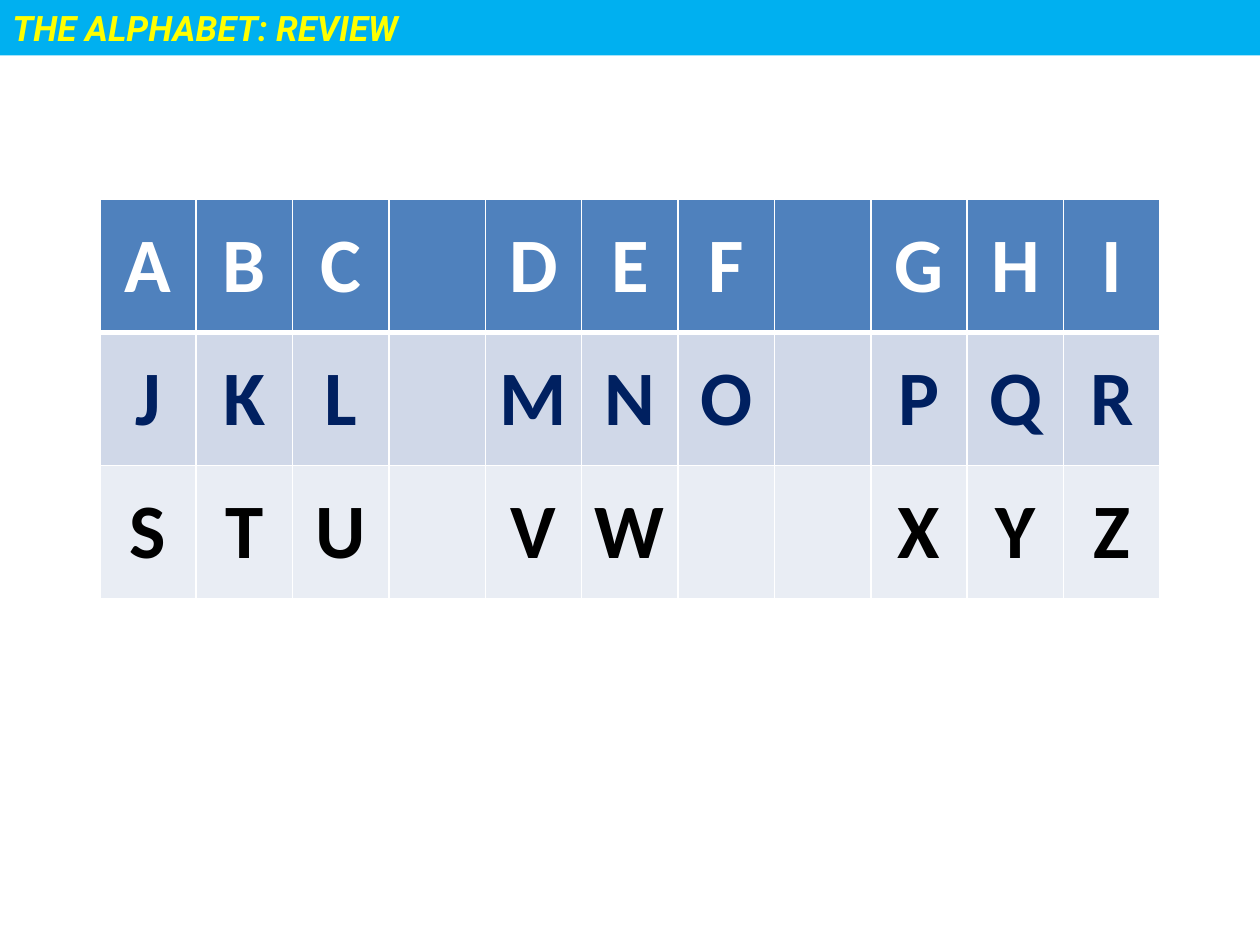
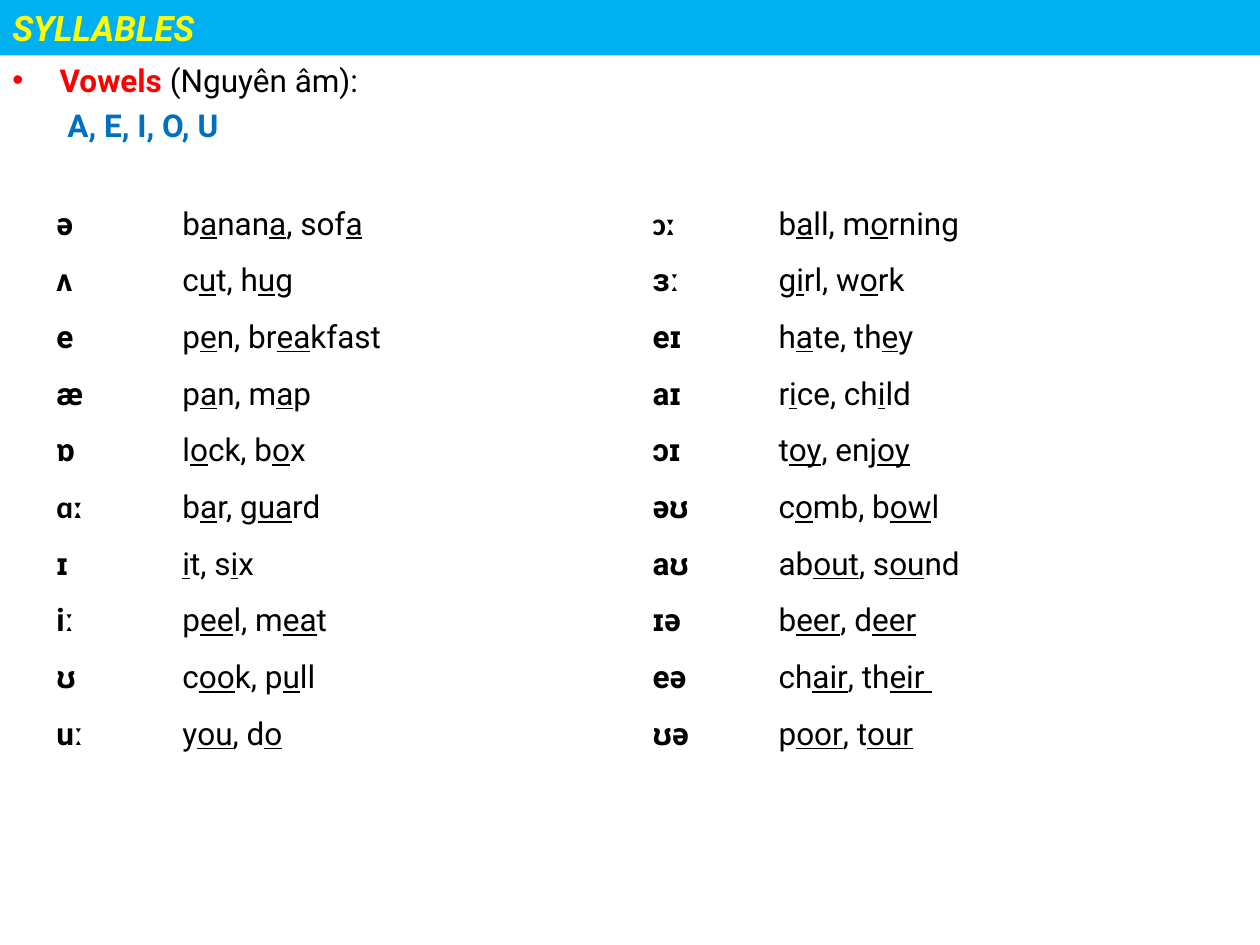
"""Build two English lesson slides: the alphabet and the vowel sounds."""
from lxml.etree import SubElement
from pptx import Presentation
from pptx.dml.color import RGBColor
from pptx.enum.shapes import MSO_SHAPE as SHAPE
from pptx.enum.text import MSO_ANCHOR as ANCHOR, PP_ALIGN as ALIGN
from pptx.oxml.ns import qn
from pptx.util import Pt

WIDTH, HEIGHT = 720, 540
BAND_HEIGHT = 31.7
SKY, YELLOW, WHITE, BLACK = "00B0F0", "FFFF00", "FFFFFF", "000000"
RED, BLUE, NAVY = "FF0000", "0070C0", "002060"

ALPHABET_ROWS = [
    ("ABC DEF GHI", "4F81BD", WHITE),
    ("JKL MNO PQR", "D0D8E8", NAVY),
    ("STU VW  XYZ", "E9EDF4", BLACK),
]
CALIBRI_SOUNDS = ("ɑː", "ɔː")
SHORT_SOUNDS = [
    ("ə", "b_a_nan_a_, sof_a_"),
    ("ʌ", "c_u_t, h_u_g"),
    ("e", "p_e_n, br_ea_kfast"),
    ("æ", "p_a_n, m_a_p"),
    ("ɒ", "l_o_ck, b_o_x"),
    ("ɑː", "b_a_r, g_ua_rd"),
    ("ɪ", "_i_t, s_i_x"),
    ("iː", "p_ee_l, m_ea_t"),
    ("ʊ", "c_oo_k, p_u_ll"),
    ("uː", "y_ou_, d_o_"),
]
LONG_SOUNDS = [
    ("ɔː", "b_a_ll, m_o_rning"),
    ("ɜː", "g_i_rl, w_o_rk"),
    ("eɪ", "h_a_te, th_e_y"),
    ("aɪ", "r_i_ce, ch_i_ld"),
    ("ɔɪ", "t_oy_, enj_oy_"),
    ("əʊ", "c_o_mb, b_ow_l"),
    ("aʊ", "ab_out_, s_ou_nd"),
    ("ɪə", "b_eer_, d_eer_"),
    ("eə", "ch_air_, th_eir _"),
    ("ʊə", "p_oor_, t_our_"),
]


def rgb(color):
    """Turn a hex string into a colour."""
    return RGBColor.from_string(color)


def add_text(p, text, size=18, color=BLACK, font="Roboto", bold=False,
             italic=False, underline=False):
    """Add a formatted run to a paragraph."""
    r = p.add_run()
    r.text = text
    r.font.size, r.font.name = Pt(size), font
    r.font.bold, r.font.italic, r.font.underline = bold, italic, underline
    r.font.color.rgb = rgb(color)


def add_rect(s, left, top, width, height, fill, line=None):
    """Add a flat rectangle and return its text frame."""
    sp = s.shapes.add_shape(SHAPE.RECTANGLE, Pt(left), Pt(top), Pt(width), Pt(height))
    sp.shadow.inherit = False
    sp.fill.solid()
    sp.fill.fore_color.rgb = rgb(fill)
    if line:
        sp.line.color.rgb = rgb(line)
        sp.line.width = Pt(0.75)
    else:
        sp.line.fill.background()
    sp.text_frame.word_wrap = True
    return sp.text_frame


def add_textbox(s, left, top, width, height):
    """Add a wrapping text box and return its text frame."""
    tf = s.shapes.add_textbox(Pt(left), Pt(top), Pt(width), Pt(height)).text_frame
    tf.word_wrap = True
    return tf


def add_slide(prs, title):
    """Add a blank slide with the title band."""
    s = prs.slides.add_slide(prs.slide_layouts[6])
    tf = add_rect(s, 0, 0, WIDTH, BAND_HEIGHT, SKY)
    tf.vertical_anchor = ANCHOR.MIDDLE
    p = tf.paragraphs[0]
    p.alignment = ALIGN.LEFT
    add_text(p, title, size=20, color=YELLOW, bold=True, italic=True)
    return s


def set_borders(cell, top, bottom):
    """Draw white borders around a table cell."""
    tc_pr = cell._tc.get_or_add_tcPr()
    for side, width in (("L", 1), ("R", 1), ("T", top), ("B", bottom)):
        ln = SubElement(tc_pr, qn(f"a:ln{side}"), w=str(Pt(width)))
        SubElement(SubElement(ln, qn("a:solidFill")), qn("a:srgbClr"), val=WHITE)


def add_alphabet(s, left, top, width, height):
    """Add the table of letters, where a space leaves a cell empty."""
    columns = len(ALPHABET_ROWS[0][0])
    table = s.shapes.add_table(len(ALPHABET_ROWS), columns, Pt(left), Pt(top),
                               Pt(width), Pt(height)).table
    for i, (letters, fill, color) in enumerate(ALPHABET_ROWS):
        for j, letter in enumerate(letters):
            cell = table.cell(i, j)
            set_borders(cell, 3 if i == 1 else 1, 3 if i == 0 else 1)
            cell.fill.solid()
            cell.fill.fore_color.rgb = rgb(fill)
            cell.vertical_anchor = ANCHOR.MIDDLE
            if letter != " ":
                p = cell.text_frame.paragraphs[0]
                p.alignment = ALIGN.CENTER
                add_text(p, letter, size=44, color=color, font="Calibri", bold=True)


def set_indent(p, left, first=0, bullet=None):
    """Indent a paragraph and give it a bullet if wanted."""
    p_pr = p._p.get_or_add_pPr()
    p_pr.set("marL", str(Pt(left)))
    p_pr.set("indent", str(Pt(first)))
    if bullet:
        SubElement(p_pr, qn("a:buFont"), typeface="Arial")
        SubElement(p_pr, qn("a:buChar"), char=bullet)


def set_tab(p, position):
    """Give a paragraph one left tab stop."""
    tabs = SubElement(p._p.get_or_add_pPr(), qn("a:tabLst"))
    SubElement(tabs, qn("a:tab"), pos=str(Pt(position)), algn="l")


def add_vowel_heading(s):
    """Add the bulleted heading and the vowel letters."""
    tf = add_textbox(s, 0, 31.2, WIDTH, 46.8)
    p = tf.paragraphs[0]
    set_indent(p, 27, -27, "•")
    add_text(p, "Vowels ", color=RED, bold=True)
    add_text(p, "(Nguyên âm):")
    p = tf.add_paragraph()
    set_indent(p, 31.5)
    p.space_before = Pt(4.2)
    add_text(p, "A, E, I, O, U", color=BLUE, bold=True)


def fill_sounds(tf, sounds):
    """List sounds with examples, underlining the parts between underscores."""
    tf.vertical_anchor = ANCHOR.TOP
    for i, (sound, examples) in enumerate(sounds):
        p = tf.add_paragraph() if i else tf.paragraphs[0]
        set_tab(p, 72)
        p.alignment = ALIGN.LEFT
        p.line_spacing = 1.5
        font = "Calibri" if sound in CALIBRI_SOUNDS else "Roboto"
        add_text(p, sound + "\t", font=font, bold=True)
        for j, part in enumerate(examples.split("_")):
            if part:
                add_text(p, part, underline=j % 2 == 1)


def main():
    """Build and save the slides."""
    prs = Presentation()
    prs.slide_width, prs.slide_height = Pt(WIDTH), Pt(HEIGHT)

    s = add_slide(prs, "THE ALPHABET: REVIEW")
    add_alphabet(s, 57, 114, 606, 228)

    s = add_slide(prs, "SYLLABLES")
    add_vowel_heading(s)
    top, height = 102, 334
    fill_sounds(add_rect(s, 25.2, top, 261.4, height, WHITE, line=WHITE), SHORT_SOUNDS)
    fill_sounds(add_textbox(s, 365.8, top, 275, height), LONG_SOUNDS)

    prs.save("out.pptx")


if __name__ == "__main__":
    main()
